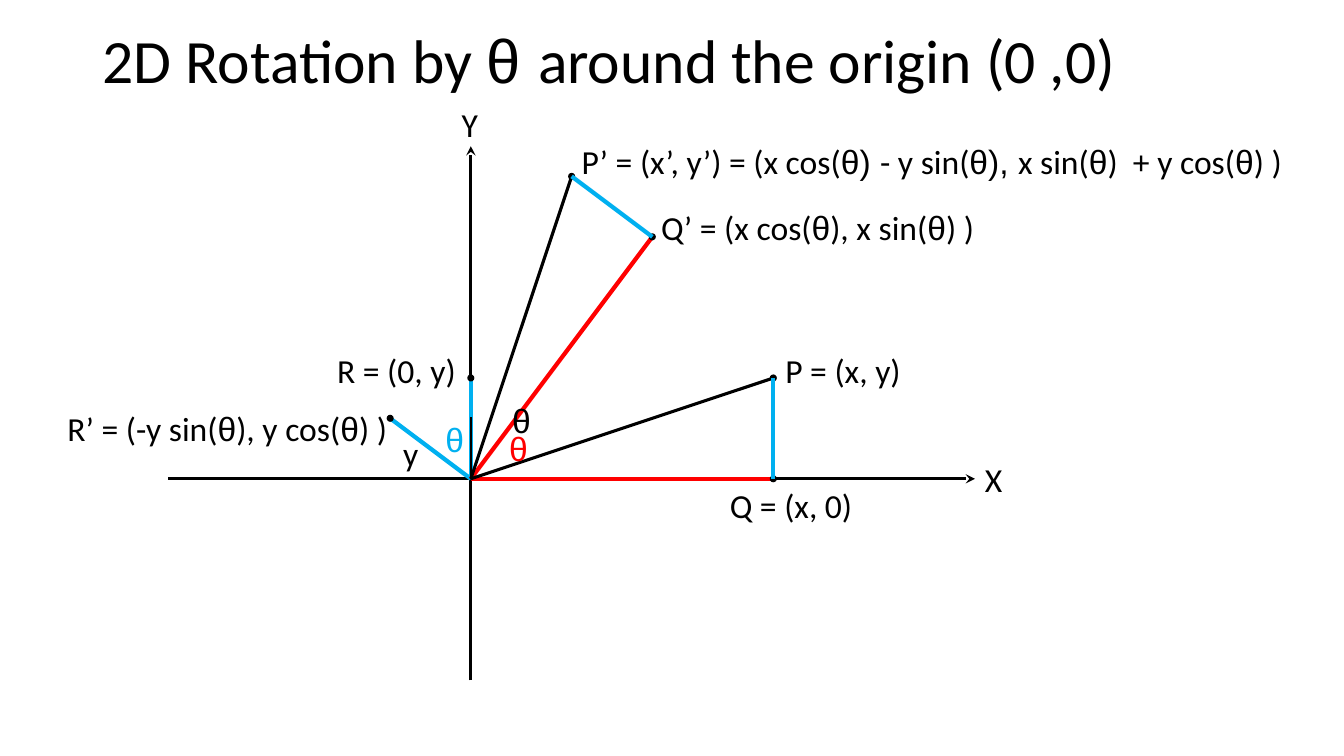
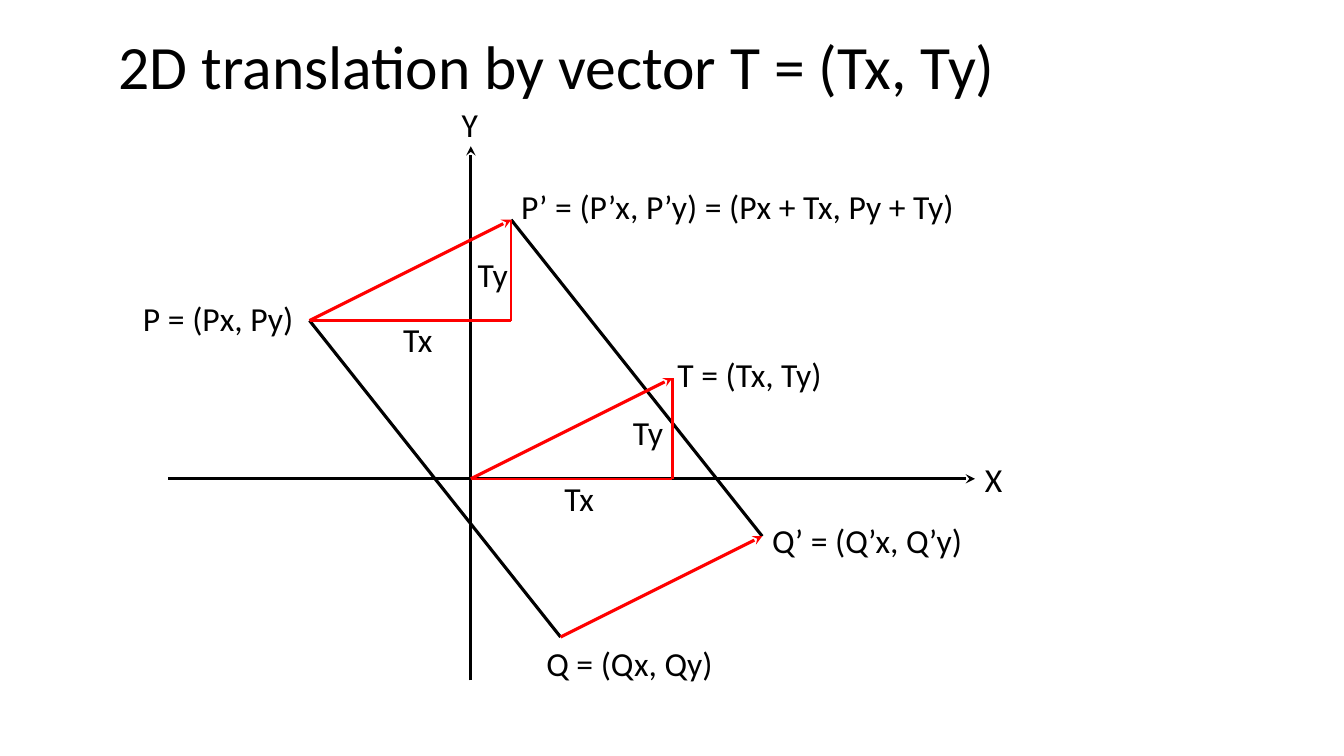
import pptx
import pptx.dml.color
import pptx.enum.shapes
import pptx.enum.text
import pptx.oxml.ns
import pptx.util
from lxml import etree
from pptx.util import Inches

COLORS = {"ink": "000000", "red": "FF0000", "blue": "00B0F0"}
TEXT_FONT, THETA_FONT = "Calibri", "Arial"
ANCHOR = pptx.enum.text.MSO_ANCHOR
GROW = pptx.enum.text.MSO_AUTO_SIZE.SHAPE_TO_FIT_TEXT

TAG = {"word_wrap": False, "auto_size": GROW}
BLOCK = {"word_wrap": True, "vertical_anchor": ANCHOR.MIDDLE}

ORIGIN = (4.67, 4.75)
DOT = 0.07


def add_line(slide, start, end, color="ink", width=2.25, arrow=False):
    line = slide.shapes.add_connector(
        pptx.enum.shapes.MSO_CONNECTOR.STRAIGHT, *map(Inches, start + end))
    line.line.width = pptx.util.Pt(width)
    line.line.color.rgb = pptx.dml.color.RGBColor.from_string(COLORS[color])
    properties = line._element.spPr
    if arrow:
        etree.SubElement(properties.find(pptx.oxml.ns.qn("a:ln")),
                         pptx.oxml.ns.qn("a:tailEnd"), type="stealth")
    etree.SubElement(properties, pptx.oxml.ns.qn("a:effectLst"))


def add_label(slide, text, box, frame_format, size=24, color="ink", align=None):
    """Bars in the text switch between the text font and the theta font."""
    frame = slide.shapes.add_textbox(*map(Inches, box)).text_frame
    for name, value in frame_format.items():
        setattr(frame, name, value)
    paragraph = frame.paragraphs[0]
    paragraph.alignment = align
    if frame_format is BLOCK:
        paragraph.line_spacing = 0.9
    for index, part in enumerate(text.split("|")):
        if part:
            run = paragraph.add_run()
            run.text = part
            run.font.name = THETA_FONT if index % 2 else TEXT_FONT
            run.font.size = pptx.util.Pt(size)
            run.font.color.rgb = pptx.dml.color.RGBColor.from_string(COLORS[color])


deck = pptx.Presentation()
deck.slide_width, deck.slide_height = Inches(13.33), Inches(7.5)

# Title and axes of both slides
titles = [
    ("2D Rotation by |θ |around the origin (0 ,0)", (0.92, 0, 11.5, 1.26)),
    ("2D translation by vector T = (Tx, Ty)", (1.08, 0.23, 11.5, 0.93)),
]
for title, box in titles:
    slide = deck.slides.add_slide(deck.slide_layouts[6])
    add_label(slide, title, box, BLOCK, size=44)
    add_line(slide, (1.67, 4.75), (9.67, 4.75), arrow=True)
    add_line(slide, (4.67, 6.75), (4.67, 1.45), arrow=True)
    add_label(slide, "Y", (4.48, 0.98, 0.37, 0.5), TAG)
    add_label(slide, "X", (9.67, 4.5, 0.38, 0.5), TAG)
rotation, translation = deck.slides

# Rotation: P = Q + R is turned by the angle with this cosine and sine
x, y = 3, 1
cos, sin = 0.6, 0.8
offsets = {
    "Q": (x, 0), "R": (0, y), "P": (x, y),
    "Q’": (x * cos, x * sin), "R’": (-y * sin, y * cos),
    "P’": (x * cos - y * sin, x * sin + y * cos),
}
points = {name: (ORIGIN[0] + right, ORIGIN[1] - up)
          for name, (right, up) in offsets.items()}

for name, color, width in [("Q", "red", 3), ("R", "blue", 3), ("R’", "blue", 3),
                           ("Q’", "red", 3), ("P’", "ink", 2.25), ("P", "ink", 2.25)]:
    add_line(rotation, ORIGIN, points[name], color, width)
add_line(rotation, ORIGIN, (4.67, 4.14), width=1)
for left, top in points.values():
    dot = rotation.shapes.add_shape(
        pptx.enum.shapes.MSO_SHAPE.OVAL,
        *map(Inches, (left - DOT / 2, top - DOT / 2, DOT, DOT)))
    dot.shadow.inherit = False
    dot.fill.solid()
    dot.fill.fore_color.rgb = pptx.dml.color.RGBColor.from_string(COLORS["ink"])
    dot.line.fill.background()
for mark in ("", "’"):
    add_line(rotation, points["P" + mark], points["Q" + mark], "blue", 3)

for text, box in [
    ("y", (3.9, 4.25, 0.35, 0.5)),
    ("P = (x, y)", (7.69, 3.42, 1.36, 0.5)),
    ("Q = (x, 0)", (7.14, 4.76, 1.43, 0.5)),
    ("Q’ = (x cos(|θ|), x sin(|θ|) )", (6.46, 2, 3.31, 0.5)),
    ("R’ = (-y sin(|θ|), y cos(|θ|) )", (0.57, 4, 3.38, 0.5)),
    ("P’ = (x’, y’) = (x cos(|θ) |- y sin(|θ), |x sin(|θ|)  + y cos(|θ|) )",
     (5.67, 1.35, 7.21, 0.5)),
]:
    add_label(rotation, text, box, TAG)
add_label(rotation, "R = (0, y)", (3.23, 3.42, 1.39, 0.5), TAG,
          align=pptx.enum.text.PP_ALIGN.RIGHT)
for color, left, top in [("blue", 4.32, 4.11), ("red", 4.95, 4.2), ("ink", 4.98, 3.92)]:
    add_label(rotation, "|θ", (left, top, 0.38, 0.5), TAG, color=color)

# Translation: the segment PQ is moved by T
tx, ty = 2, 1
p, q = (3.07, 3.18), (5.56, 6.32)
p_moved, q_moved, t = [(left + tx, top - ty) for left, top in (p, q, ORIGIN)]

add_line(translation, p, q)
add_line(translation, p_moved, q_moved)
for start, end in [(ORIGIN, t), (p, p_moved), (q, q_moved)]:
    add_line(translation, start, end, "red", arrow=True)
for start, end in [(ORIGIN, t), (p, p_moved)]:
    corner = (end[0], start[1])
    add_line(translation, end, corner, "red", 1.5)
    add_line(translation, corner, start, "red", 1.5)

for text, left, top, width in [
    ("P = (Px, Py)", 1.32, 2.72, 1.9),
    ("Q = (Qx, Qy)", 5.32, 6.14, 1.9),
    ("P’ = (P’x, P’y) = (Px + Tx, Py + Ty)", 5.07, 1.6, 6.28),
    ("Q’ = (Q’x, Q’y)", 7.56, 4.92, 2.14),
    ("T = (Tx, Ty)", 6.62, 3.27, 1.66),
    ("Tx", 5.5, 4.5, 1.66),
    ("Ty", 6.18, 3.85, 1.66),
    ("Tx", 3.9, 2.92, 1.66),
    ("Ty", 4.64, 2.28, 1.66),
]:
    add_label(translation, text, (left, top, width, 0.93), BLOCK)

deck.save("out.pptx")
